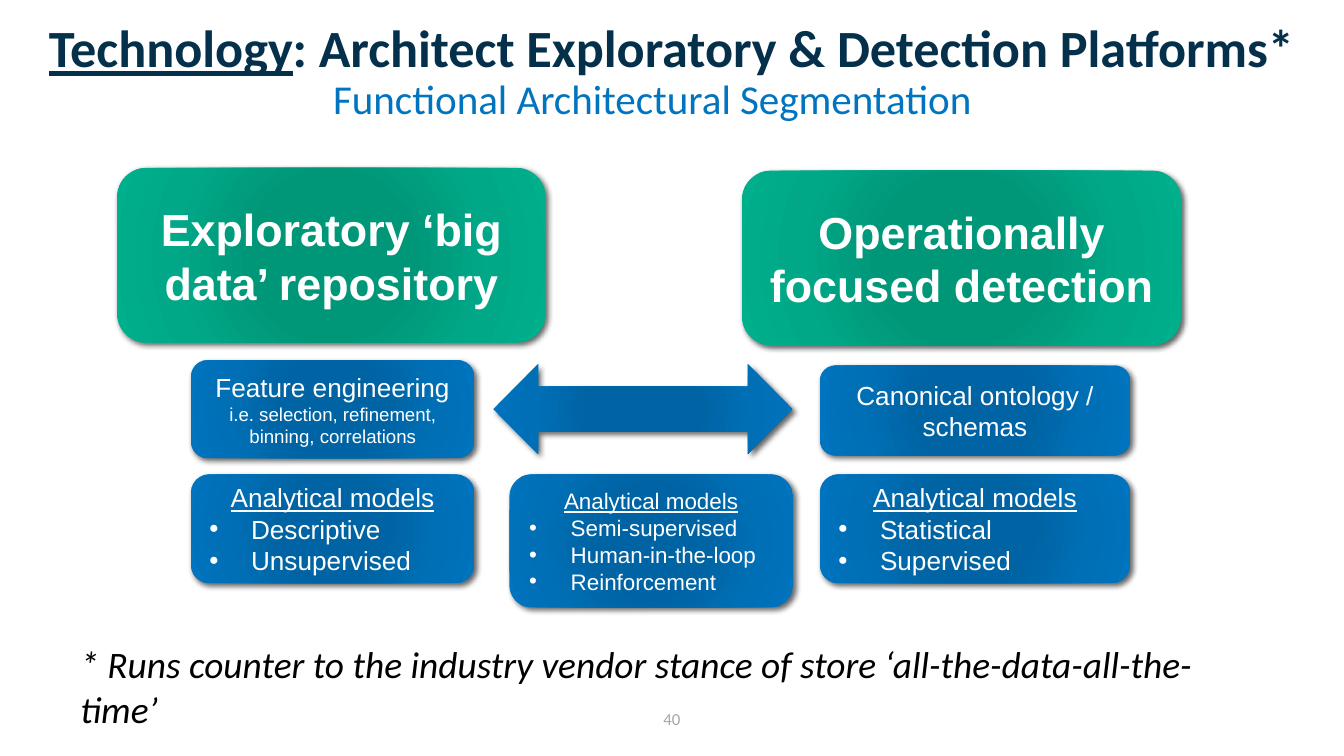
import dataclasses

import pptx
import pptx.dml.color
import pptx.enum.shapes
import pptx.enum.text
import pptx.oxml
import pptx.oxml.ns
import pptx.util

Inches = pptx.util.Inches
Shape = pptx.enum.shapes.MSO_SHAPE
Align = pptx.enum.text.PP_ALIGN
Anchor = pptx.enum.text.MSO_ANCHOR
AutoSize = pptx.enum.text.MSO_AUTO_SIZE
qn = pptx.oxml.ns.qn
NAMESPACE = pptx.oxml.ns.nsdecls("a")


@dataclasses.dataclass(frozen=True)
class Theme:
    heading_font: str = "Calibri"
    card_font: str = "Arial"
    navy: str = "04304B"
    blue: str = "0074BE"
    grey: str = "A6A6A6"
    black: str = "000000"
    white: str = "FFFFFF"
    green_glow: tuple = ("009779", "009779", "00A887", "00B08D")
    blue_glow: tuple = ("0063A3", "0063A3", "006FB5", "0074BE")
    glow_stops: tuple = (0, 34, 70, 100)
    title_size: int = 28
    platform_size: int = 24
    subtitle_size: int = 22
    footnote_size: int = 20
    card_size: int = 14
    compact_size: int = 12
    detail_size: int = 10
    number_size: int = 9


class SlideBuilder:
    def __init__(self, slide, theme):
        self.slide = slide
        self.theme = theme

    def format_run(self, para, text, size, color, name, **styles):
        span = para.add_run()
        span.text = text
        values = {"size": pptx.util.Pt(size), "name": name, **styles}
        for attribute, value in values.items():
            setattr(span.font, attribute, value)
        span.font.color.rgb = pptx.dml.color.RGBColor.from_string(color)

    def format_frame(self, frame, anchor=Anchor.MIDDLE):
        values = {"word_wrap": True, "auto_size": AutoSize.NONE, "vertical_anchor": anchor}
        for attribute, value in values.items():
            setattr(frame, attribute, value)

    def title(self, underlined, rest, left, top, width, height):
        box = self.slide.shapes.title
        place = {"left": left, "top": top, "width": width, "height": height}
        for attribute, value in place.items():
            setattr(box, attribute, Inches(value))
        self.format_frame(box.text_frame)
        para = box.text_frame.paragraphs[0]
        para.alignment = Align.CENTER
        for text, underline in ((underlined, True), (rest, False)):
            self.format_run(para, text, self.theme.title_size, self.theme.navy,
                            self.theme.heading_font, bold=True, underline=underline)

    def label(self, text, place, size, color, anchor=Anchor.MIDDLE,
              alignment=Align.CENTER, **styles):
        box = self.slide.shapes.add_textbox(*map(Inches, place))
        self.format_frame(box.text_frame, anchor)
        para = box.text_frame.paragraphs[0]
        para.alignment = alignment
        self.format_run(para, text, size, color, self.theme.heading_font, **styles)

    def glowing_shape(self, kind, place, colors):
        """Add a shape with a circular gradient and a soft drop shadow."""
        shape = self.slide.shapes.add_shape(kind, *map(Inches, place))
        shape.line.fill.background()
        shape.fill.gradient()
        stops = "".join(
            f'<a:gs pos="{stop * 1000}"><a:srgbClr val="{color}"/></a:gs>'
            for stop, color in zip(self.theme.glow_stops, colors))
        gradient = pptx.oxml.parse_xml(
            f'<a:gradFill {NAMESPACE} rotWithShape="1"><a:gsLst>{stops}</a:gsLst>'
            '<a:path path="circle"><a:fillToRect l="100000" t="100000" r="100000" '
            'b="100000"/></a:path></a:gradFill>')
        properties = shape.element.spPr
        properties.replace(properties.find(qn("a:gradFill")), gradient)
        shape.shadow.inherit = False
        properties.find(qn("a:effectLst")).append(pptx.oxml.parse_xml(
            f'<a:outerShdw {NAMESPACE} blurRad="38100" dist="25400" dir="2700000" '
            f'algn="tl" rotWithShape="0"><a:srgbClr val="{self.theme.black}">'
            '<a:alpha val="60000"/></a:srgbClr></a:outerShdw>'))
        return shape

    def card(self, place, colors, lines):
        """Add a rounded card; each line is (text, size, styles)."""
        box = self.glowing_shape(Shape.ROUNDED_RECTANGLE, place, colors)
        frame = box.text_frame
        self.format_frame(frame)
        for index, (text, size, styles) in enumerate(lines):
            para = frame.add_paragraph() if index else frame.paragraphs[0]
            para.alignment = Align.CENTER
            self.format_run(para, text, size, self.theme.white, self.theme.card_font, **styles)
        return frame

    def models_card(self, place, size, models):
        lines = [("Analytical models", size, {"underline": True})]
        lines += [(model, size, {}) for model in models]
        frame = self.card(place, self.theme.blue_glow, lines)
        indent = Inches(0.31)
        for para in frame.paragraphs[1:]:
            para.alignment = Align.LEFT
            properties = para._p.get_or_add_pPr()
            properties.set("marL", str(indent))
            properties.set("indent", str(-indent))
            for xml in (f'<a:buFont {NAMESPACE} typeface="Arial"/>',
                        f'<a:buChar {NAMESPACE} char="•"/>'):
                properties.append(pptx.oxml.parse_xml(xml))


def main():
    theme = Theme()
    deck = pptx.Presentation()
    deck.slide_width = Inches(10)
    deck.slide_height = deck.slide_width * 9 // 16
    page = SlideBuilder(deck.slides.add_slide(deck.slide_layouts[5]), theme)

    page.title("Technology", ": Architect Exploratory & Detection Platforms*",
               0.1, 0.1, 9.79, 0.5)
    page.label("Functional Architectural Segmentation", (0.54, 0.58, 8.63, 0.3),
               theme.subtitle_size, theme.blue)

    for text, place in (
        ("Exploratory ‘big data’ repository", (0.87, 1.25, 3.19, 1.3)),
        ("Operationally focused detection", (5.52, 1.27, 3.27, 1.3)),
    ):
        page.card(place, theme.green_glow, [(text, theme.platform_size, {"bold": True})])

    left_column, middle_column, right_column = (1.42, 2.11), (3.79, 2.11), (6.1, 2.31)
    page.card((left_column[0], 2.68, left_column[1], 0.73), theme.blue_glow, [
        ("Feature engineering", theme.card_size, {}),
        ("i.e. selection, refinement, binning, correlations", theme.detail_size, {}),
    ])
    page.card((right_column[0], 2.72, right_column[1], 0.67), theme.blue_glow,
              [("Canonical ontology / schemas", theme.card_size, {})])
    page.glowing_shape(Shape.LEFT_RIGHT_ARROW, (3.67, 2.71, 2.23, 0.67), theme.blue_glow)

    for (left, width), height, size, models in (
        (left_column, 0.81, theme.card_size, ("Descriptive", "Unsupervised")),
        (middle_column, 0.99, theme.compact_size,
         ("Semi-supervised", "Human-in-the-loop", "Reinforcement")),
        (right_column, 0.81, theme.card_size, ("Statistical", "Supervised")),
    ):
        page.models_card((left, 3.53, width, height), size, models)

    page.label("* Runs counter to the industry vendor stance of store "
               "‘all-the-data-all-the-time’", (0.5, 4.72, 9, 0.44),
               theme.footnote_size, theme.black, Anchor.TOP, Align.LEFT, italic=True)
    page.label("40", (4.5, 5.22, 1, 0.25), theme.number_size, theme.grey, Anchor.BOTTOM)

    deck.save("out.pptx")


if __name__ == "__main__":
    main()
